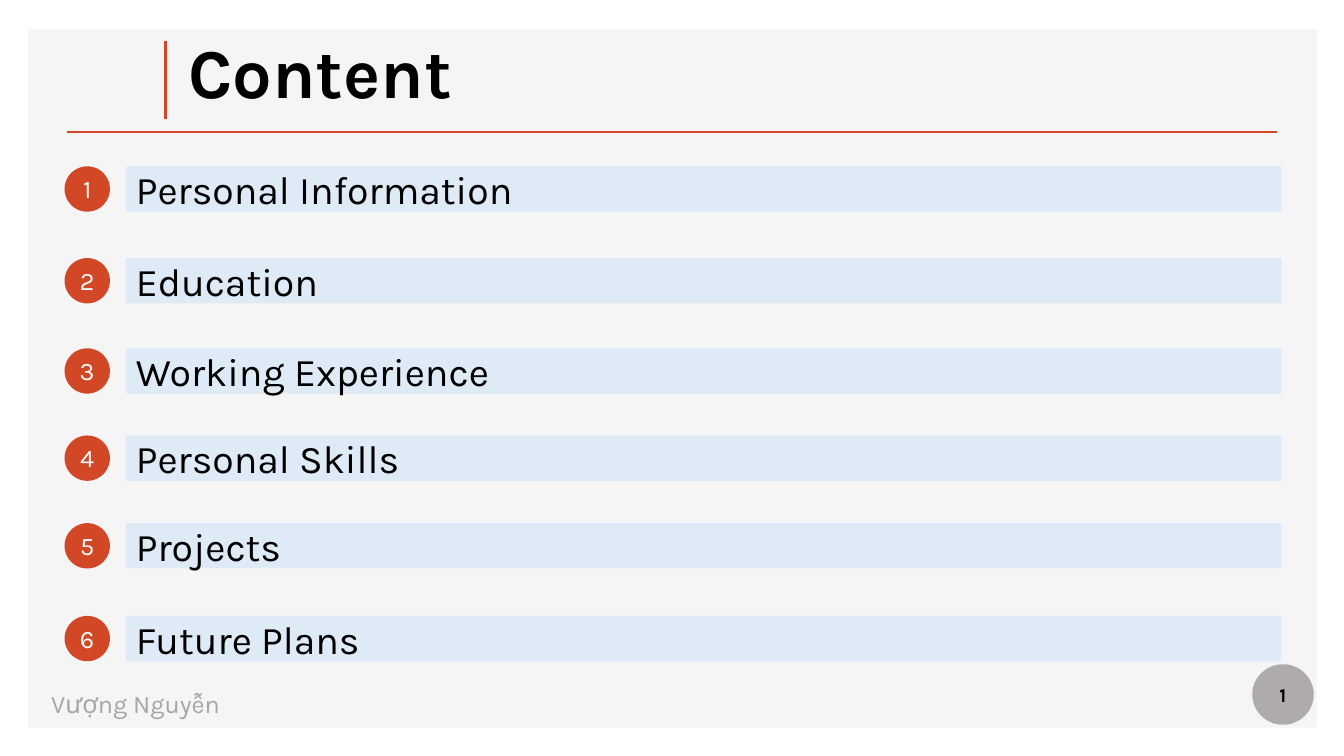
import pptx
import pptx.util
import pptx.dml.color
import pptx.enum.shapes
import pptx.enum.text
import lxml.etree

Inches, Pt = pptx.util.Inches, pptx.util.Pt
RGB = pptx.dml.color.RGBColor.from_string
SHAPE = pptx.enum.shapes.MSO_SHAPE
ALIGN = pptx.enum.text.PP_ALIGN
ANCHOR = pptx.enum.text.MSO_ANCHOR

THEME = {
    "font": "Karla",
    "panel": "F5F5F5", "accent": "D24726", "bar": "DEEBF7", "page": "AFABAB",
    "title": {"size": 50, "color": "000000", "bold": True},
    "item": {"size": 28, "color": "000000", "bold": False},
    "number": {"size": 18, "color": "FFFFFF", "bold": False},
    "author": {"size": 18, "color": "A6A6A6", "bold": False},
    "page_number": {"size": 14, "color": "000000", "bold": True},
}

ITEMS = [
    ("Personal Information", 1.65),
    ("Education", 2.56),
    ("Working Experience", 3.455),
    ("Personal Skills", 4.32),
    ("Projects", 5.19),
    ("Future Plans", 6.11),
]
ROW_H = 0.45
NUMBER_COL, NUMBER_W = 0.56, 0.61
DOT_COL = 0.64
BAR_COL, BAR_W = 1.25, 11.46

prs = pptx.Presentation()
prs.slide_width, prs.slide_height = Inches(13.33), Inches(7.5)
s = prs.slides.add_slide(prs.slide_layouts[6])


def add_block(box, fill=None, kind=SHAPE.RECTANGLE):
    """Add a borderless preset shape, or a text box when there is no fill."""
    box = [Inches(v) for v in box]
    if fill is None:
        return s.shapes.add_textbox(*box)
    sp = s.shapes.add_shape(kind, *box)
    sp.shadow.inherit = False
    sp.fill.solid()
    sp.fill.fore_color.rgb = RGB(THEME[fill])
    sp.line.fill.background()
    return sp


def write(sp, text, style, align=ALIGN.LEFT, anchor=ANCHOR.MIDDLE):
    look = THEME[style]
    tf = sp.text_frame
    tf.word_wrap = True
    tf.vertical_anchor = anchor
    p = tf.paragraphs[0]
    p.alignment = align
    r = p.add_run()
    r.text = text
    for name, value in {"name": THEME["font"], "size": Pt(look["size"]),
                        "bold": look["bold"]}.items():
        setattr(r.font, name, value)
    r.font.color.rgb = RGB(look["color"])
    return p


# Panel and rules
add_block((0.28, 0.29, 12.78, 6.93), "panel")
for x1, y1, x2, y2, width in [(0.66, 1.31, 12.67, 1.31, 2),
                              (1.64, 0.41, 1.64, 1.18, 2.25)]:
    rule = s.shapes.add_connector(pptx.enum.shapes.MSO_CONNECTOR.STRAIGHT,
                                  Inches(x1), Inches(y1), Inches(x2), Inches(y2))
    rule.line.color.rgb = RGB(THEME["accent"])
    rule.line.width = Pt(width)
    lxml.etree.SubElement(rule._element.spPr, pptx.oxml.ns.qn("a:effectLst"))

# Title
p = write(add_block((1.77, 0.48, 5.49, 0.7)), "Content", "title", anchor=ANCHOR.BOTTOM)
p.line_spacing = 0.9

# Numbered items
for number, (item, top) in enumerate(ITEMS, start=1):
    add_block((DOT_COL, top, ROW_H, ROW_H), "accent", SHAPE.OVAL)
    write(add_block((NUMBER_COL, top + 0.02, NUMBER_W, 0.4)), str(number), "number",
          ALIGN.CENTER, ANCHOR.TOP)
    write(add_block((BAR_COL, top, BAR_W, ROW_H), "bar"), item, "item")

# Footer
write(add_block((0.41, 6.78, 4.02, 0.4)), "Vượng Nguyễn", "author", anchor=ANCHOR.TOP)
write(add_block((12.42, 6.59, 0.61, 0.6), "page", SHAPE.OVAL), "1", "page_number",
      ALIGN.CENTER)

prs.save("out.pptx")
